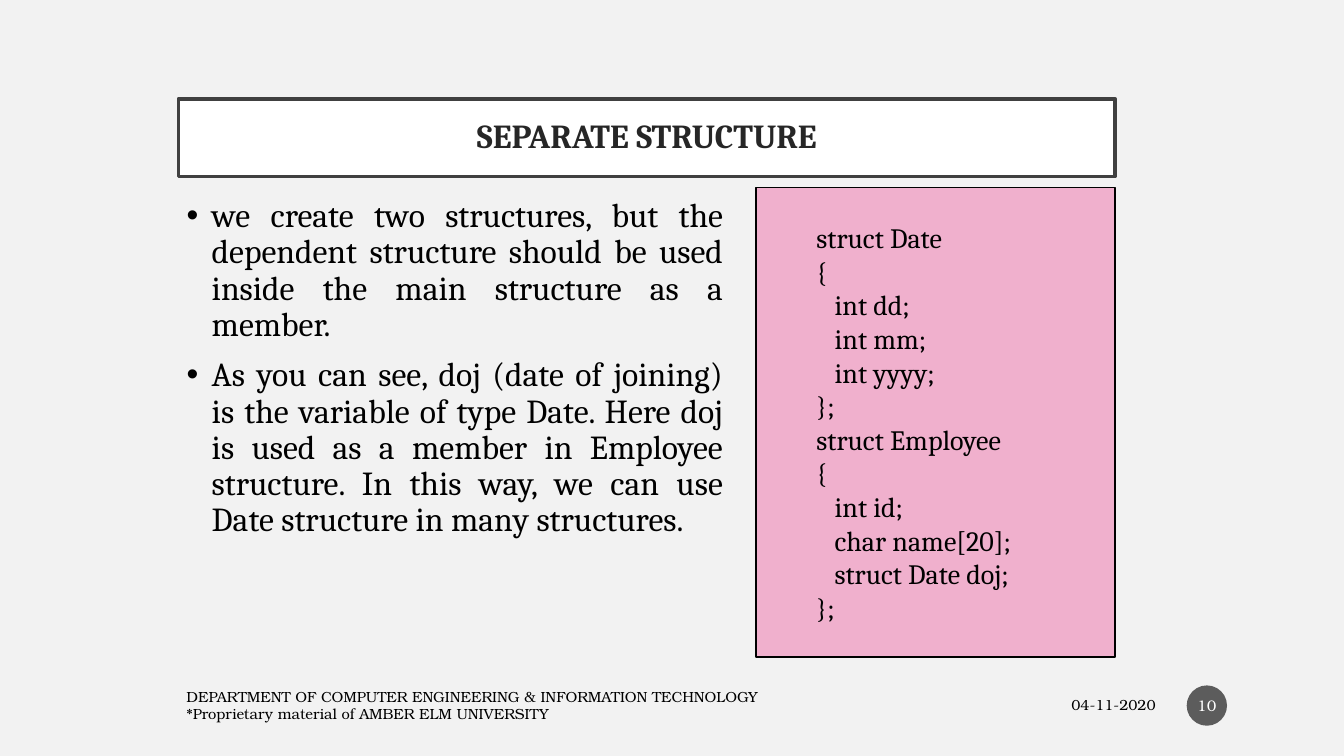
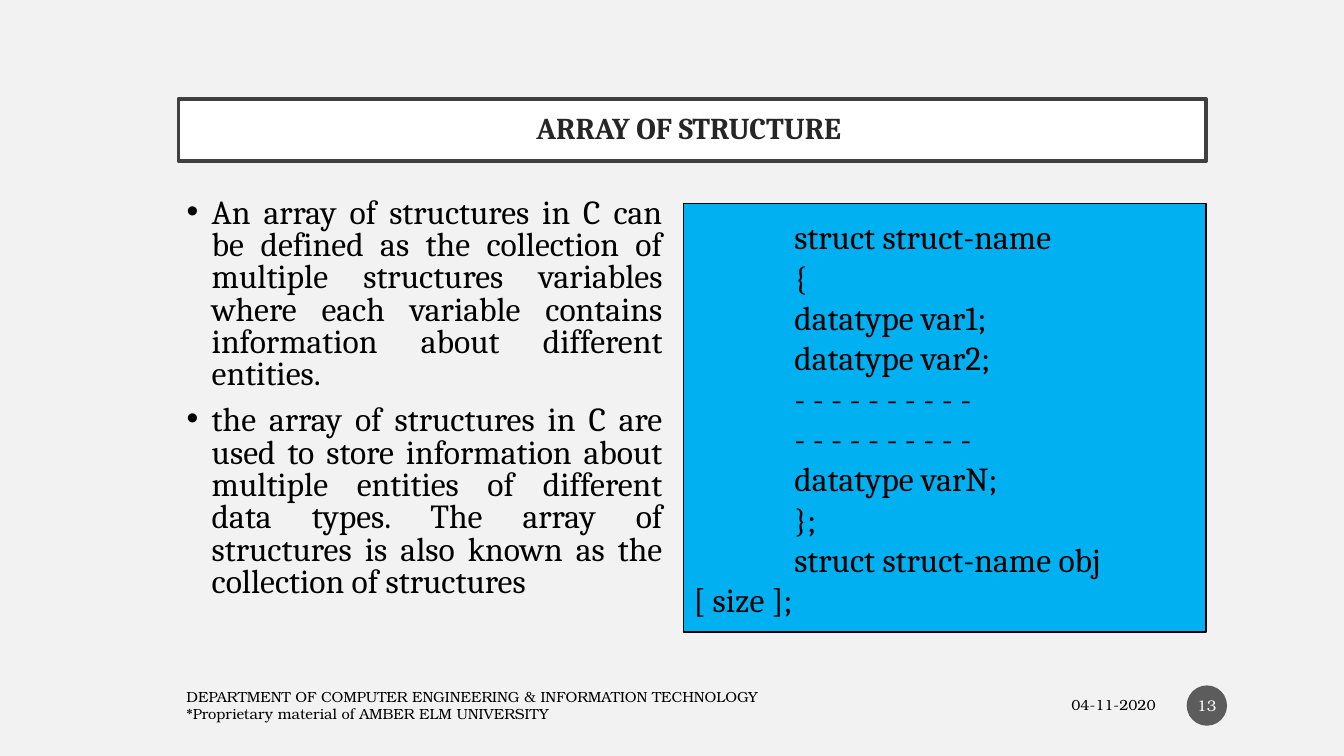
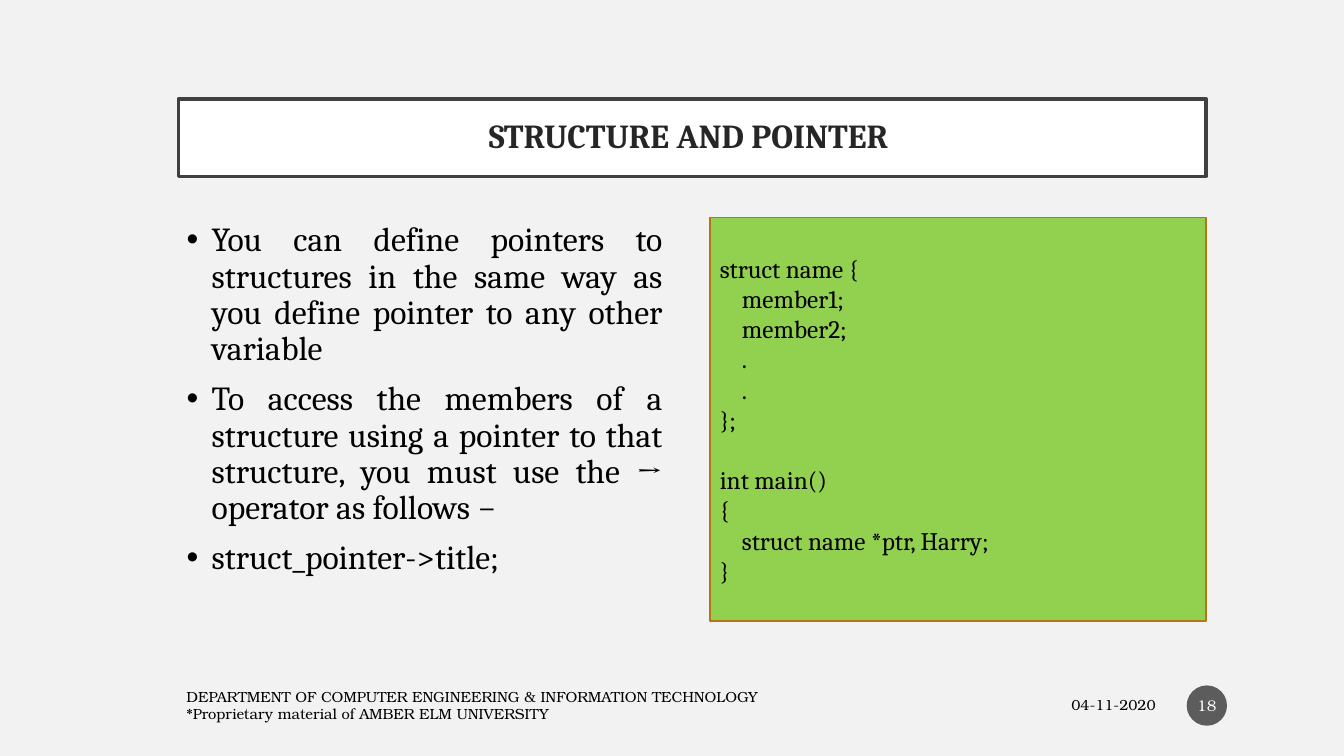
"""Build three lecture slides on C structures."""
from dataclasses import dataclass

from lxml import etree
from pptx import Presentation
from pptx.dml.color import RGBColor
from pptx.enum.shapes import MSO_SHAPE
from pptx.enum.text import MSO_ANCHOR, MSO_AUTO_SIZE, PP_ALIGN
from pptx.oxml.ns import qn
from pptx.presentation import Presentation as Deck
from pptx.shapes.autoshape import Shape
from pptx.slide import Slide
from pptx.text.text import TextFrame, _Paragraph
from pptx.util import Inches, Pt

RECTANGLE, OVAL = MSO_SHAPE.RECTANGLE, MSO_SHAPE.OVAL
LEFT, CENTER, RIGHT, JUSTIFY = PP_ALIGN.LEFT, PP_ALIGN.CENTER, PP_ALIGN.RIGHT, PP_ALIGN.JUSTIFY
TOP, MIDDLE = MSO_ANCHOR.TOP, MSO_ANCHOR.MIDDLE
NO_AUTOFIT = MSO_AUTO_SIZE.NONE


@dataclass(frozen=True)
class Theme:
    """Colours, fonts and type sizes of the deck."""

    background: str = "F2F2F2"
    title_fill: str = "FFFFFF"
    title_line: str = "404040"
    title_text: str = "262626"
    text: str = "000000"
    badge: str = "1D1D1D"
    badge_text: str = "FFFFFF"
    pink: str = "F0B0CD"
    blue: str = "00B0F0"
    green: str = "92D050"
    ochre: str = "B37615"
    font: str = "Cambria"
    footer_font: str = "TeX Gyre Bonum"
    title_size: float = 24
    small_title_size: float = 21.6
    body_size: float = 24
    footer_size: float = 10.5
    badge_size: float = 11


THEME = Theme()
FOOTER_LINES = (
    "DEPARTMENT OF COMPUTER ENGINEERING & INFORMATION TECHNOLOGY",
    "*Proprietary material of AMBER ELM UNIVERSITY",
)
DATE = "04-11-2020"


@dataclass(frozen=True)
class Box:
    """Position and size in inches."""

    left: float
    top: float
    width: float
    height: float

    def lengths(self) -> tuple[Inches, Inches, Inches, Inches]:
        """Return the box as slide lengths."""
        return Inches(self.left), Inches(self.top), Inches(self.width), Inches(self.height)


@dataclass(frozen=True)
class TextStyle:
    """Look of a run of text."""

    size: float
    color: str = THEME.text
    font: str = THEME.font
    bold: bool = False


@dataclass(frozen=True)
class CodeLine:
    """One line of code with its nesting depth and space above in points."""

    text: str
    depth: int = 0
    space_before: float = 0


@dataclass(frozen=True)
class CodePanel:
    """A coloured panel that lists code."""

    box: Box
    fill: str
    lines: tuple[CodeLine, ...]
    size: float
    line: str = THEME.text
    margin: float = 0
    first_indent: float = 0
    step: float = 0


@dataclass(frozen=True)
class Lesson:
    """The content of one slide."""

    number: int
    title: str
    title_box: Box
    bullets: tuple[str, ...]
    body_box: Box
    panel: CodePanel
    title_size: float = THEME.title_size
    body_spacing: float = 0.9


LESSONS = (
    Lesson(
        10,
        "SEPARATE STRUCTURE",
        Box(1.77, 0.98, 9.29, 0.77),
        (
            "we create two structures, but the dependent structure should be used inside "
            "the main structure as a member.",
            "As you can see, doj (date of joining) is the variable of type Date. Here doj is "
            "used as a member in Employee structure. In this way, we can use Date structure "
            "in many structures.",
        ),
        Box(1.75, 1.92, 5.52, 4.68),
        CodePanel(
            Box(7.5, 1.86, 3.56, 4.66),
            THEME.pink,
            (
                CodeLine("struct Date"),
                CodeLine("{"),
                CodeLine("int dd;", 1),
                CodeLine("int mm;", 1),
                CodeLine("int yyyy;", 1),
                CodeLine("};"),
                CodeLine("struct Employee"),
                CodeLine("{"),
                CodeLine("int id;", 1),
                CodeLine("char name[20];", 1),
                CodeLine("struct Date doj;", 1),
                CodeLine("};"),
            ),
            size=20,
            margin=0.5,
            step=0.18,
        ),
    ),
    Lesson(
        13,
        "ARRAY OF STRUCTURE ",
        Box(1.77, 0.98, 10.19, 0.62),
        (
            "An array of structures in C can be defined as the collection of multiple "
            "structures variables where each variable contains information about different "
            "entities.",
            "the array of structures in C are used to store information about multiple "
            "entities of different data types. The array of structures is also known as the "
            "collection of structures",
        ),
        Box(1.75, 1.92, 4.92, 4.36),
        CodePanel(
            Box(6.78, 2.02, 5.18, 4.25),
            THEME.blue,
            (
                CodeLine("struct struct-name"),
                CodeLine("{"),
                CodeLine("datatype var1;"),
                CodeLine("datatype var2;"),
                CodeLine("- - - - - - - - - -"),
                CodeLine("- - - - - - - - - -"),
                CodeLine("datatype varN;"),
                CodeLine("};"),
                CodeLine("struct struct-name obj [ size ];"),
            ),
            size=24,
            first_indent=1,
        ),
        title_size=THEME.small_title_size,
        body_spacing=0.8,
    ),
    Lesson(
        18,
        "STRUCTURE AND POINTER ",
        Box(1.77, 0.98, 10.19, 0.77),
        (
            "You can define pointers to structures in the same way as you define pointer to "
            "any other variable",
            "To access the members of a structure using a pointer to that structure, you "
            "must use the → operator as follows −",
            "struct_pointer->title;",
        ),
        Box(1.75, 2.16, 4.92, 4.36),
        CodePanel(
            Box(7.04, 2.16, 4.92, 4),
            THEME.green,
            (
                CodeLine("struct name {"),
                CodeLine("member1;", 1),
                CodeLine("member2;", 1),
                CodeLine(".", 1),
                CodeLine(".", 1),
                CodeLine("};"),
                CodeLine("int main()", space_before=21.5),
                CodeLine("{"),
                CodeLine("struct name *ptr, Harry;", 1),
                CodeLine("}"),
            ),
            size=18,
            line=THEME.ochre,
            step=0.22,
        ),
    ),
)


def place(shape: Shape, box: Box) -> None:
    """Move and size a placeholder."""
    shape.left, shape.top, shape.width, shape.height = box.lengths()


def set_text(
    frame: TextFrame,
    lines: tuple[str, ...],
    style: TextStyle,
    align: PP_ALIGN,
    anchor: MSO_ANCHOR = MIDDLE,
    insets: tuple[float, float] = (0.1, 0.05),
) -> None:
    """Fill a text frame, one paragraph a line, and format it."""
    frame.text = "\n".join(lines)
    frame.word_wrap = True
    frame.auto_size = NO_AUTOFIT
    frame.vertical_anchor = anchor
    frame.margin_left = frame.margin_right = Inches(insets[0])
    frame.margin_top = frame.margin_bottom = Inches(insets[1])
    for paragraph in frame.paragraphs:
        paragraph.alignment = align
        for run in paragraph.runs:
            run.font.size = Pt(style.size)
            run.font.name = style.font
            run.font.bold = style.bold
            run.font.color.rgb = RGBColor.from_string(style.color)


def indent(paragraph: _Paragraph, margin: float, first: float) -> None:
    """Set the left margin and first-line indent in inches."""
    properties = paragraph._p.get_or_add_pPr()
    properties.set("marL", str(Inches(margin)))
    properties.set("indent", str(Inches(first)))


def paint(shape: Shape, fill: str, line: str, width: float) -> None:
    """Give a shape a solid fill and an outline."""
    shape.fill.solid()
    shape.fill.fore_color.rgb = RGBColor.from_string(fill)
    shape.line.color.rgb = RGBColor.from_string(line)
    shape.line.width = Pt(width)


def draw_title(slide: Slide, lesson: Lesson) -> None:
    """Draw the framed title."""
    title = slide.shapes.title
    place(title, lesson.title_box)
    paint(title, THEME.title_fill, THEME.title_line, 2.5)
    style = TextStyle(lesson.title_size, THEME.title_text, bold=True)
    set_text(title.text_frame, (lesson.title,), style, CENTER, insets=(0.2, 0.2))
    title.text_frame.paragraphs[0].line_spacing = 0.9


def draw_bullets(slide: Slide, lesson: Lesson) -> None:
    """Draw the justified bullet list."""
    body = slide.placeholders[1]
    place(body, lesson.body_box)
    set_text(body.text_frame, lesson.bullets, TextStyle(THEME.body_size), JUSTIFY, TOP)
    for index, paragraph in enumerate(body.text_frame.paragraphs):
        indent(paragraph, 0.25, -0.25)
        paragraph.line_spacing = lesson.body_spacing
        paragraph.space_before = Pt(10 if index else 0)


def draw_code(slide: Slide, panel: CodePanel) -> None:
    """Draw a code panel with indented lines."""
    listing = slide.shapes.add_shape(RECTANGLE, *panel.box.lengths())
    listing.shadow.inherit = False
    paint(listing, panel.fill, panel.line, 1)
    texts = tuple(line.text for line in panel.lines)
    set_text(listing.text_frame, texts, TextStyle(panel.size), LEFT)
    for line, paragraph in zip(panel.lines, listing.text_frame.paragraphs):
        indent(paragraph, panel.margin + line.depth * panel.step, panel.first_indent)
        paragraph.space_before = Pt(line.space_before)


def draw_footer(slide: Slide, number: int) -> None:
    """Draw the department, the date and the page badge."""
    style = TextStyle(THEME.footer_size, font=THEME.footer_font)
    for box, lines, align in (
        (Box(1.75, 6.82, 6.45, 0.35), FOOTER_LINES, LEFT),
        (Box(8.55, 6.82, 3.01, 0.35), (DATE,), RIGHT),
    ):
        note = slide.shapes.add_textbox(*box.lengths())
        set_text(note.text_frame, lines, style, align)
    badge = slide.shapes.add_shape(OVAL, *Box(11.77, 6.8, 0.4, 0.4).lengths())
    badge.shadow.inherit = False
    badge.fill.solid()
    badge.fill.fore_color.rgb = RGBColor.from_string(THEME.badge)
    badge.line.fill.background()
    color = badge.element.spPr.find(f"{qn('a:solidFill')}/{qn('a:srgbClr')}")
    etree.SubElement(color, qn("a:alpha")).set("val", "70000")
    badge_style = TextStyle(THEME.badge_size, THEME.badge_text, THEME.footer_font)
    set_text(badge.text_frame, (str(number),), badge_style, CENTER, insets=(0.02, 0.05))


def draw_lesson(deck: Deck, lesson: Lesson) -> None:
    """Add one slide for a lesson."""
    slide = deck.slides.add_slide(deck.slide_layouts[1])
    draw_title(slide, lesson)
    draw_bullets(slide, lesson)
    draw_code(slide, lesson.panel)
    draw_footer(slide, lesson.number)


def main() -> None:
    """Build and save the deck."""
    deck = Presentation()
    deck.slide_width, deck.slide_height = Inches(13.33), Inches(7.5)
    backdrop = deck.slide_master.background.fill
    backdrop.solid()
    backdrop.fore_color.rgb = RGBColor.from_string(THEME.background)
    for lesson in LESSONS:
        draw_lesson(deck, lesson)
    deck.save("out.pptx")


if __name__ == "__main__":
    main()
